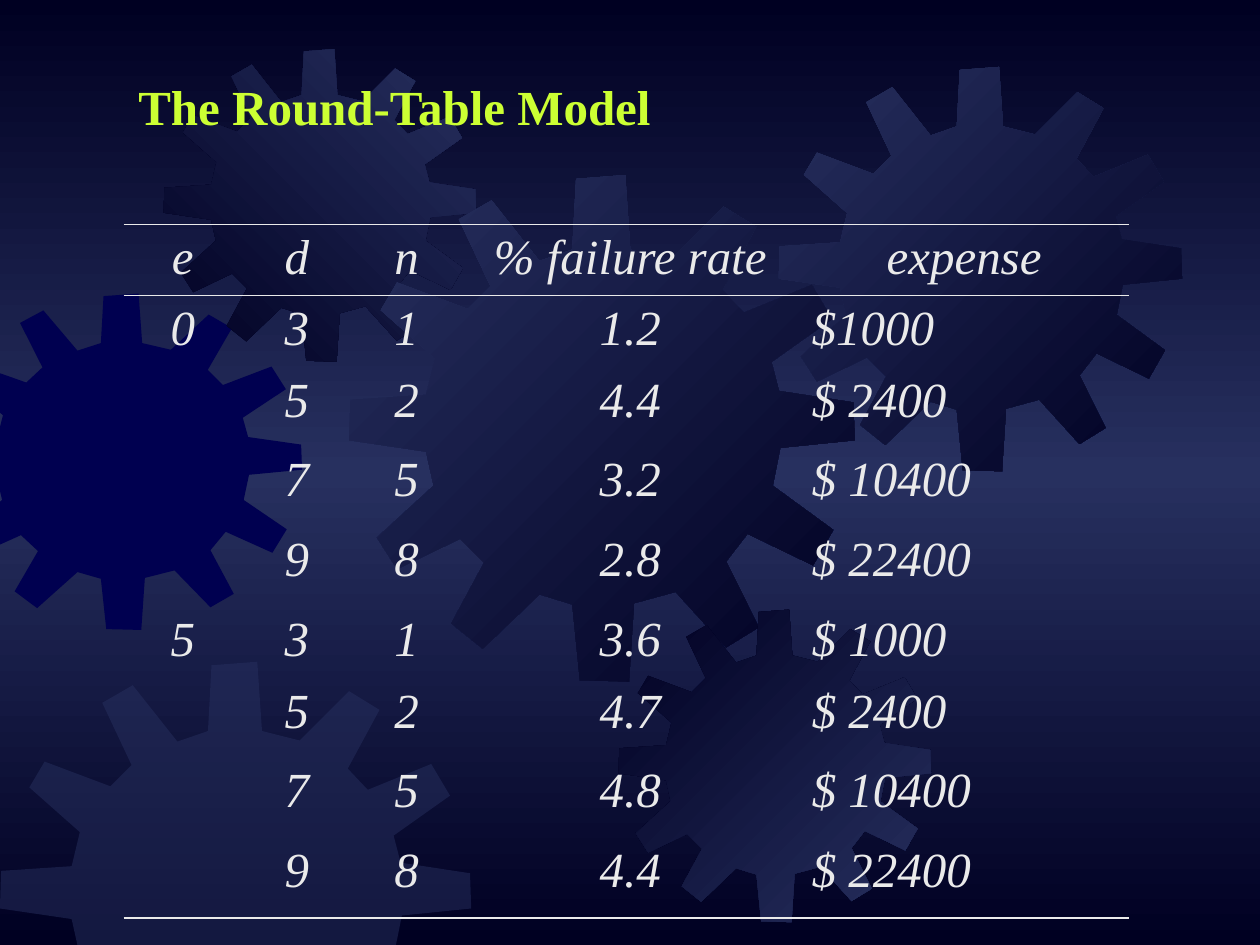
from copy import deepcopy

from lxml import etree
from pptx import Presentation
from pptx.dml.color import RGBColor
from pptx.enum.text import MSO_ANCHOR, MSO_AUTO_SIZE, PP_ALIGN
from pptx.oxml.ns import qn
from pptx.util import Cm, Pt

LEFT, CENTER = PP_ALIGN.LEFT, PP_ALIGN.CENTER
TOP = MSO_ANCHOR.TOP
NO_AUTOFIT = MSO_AUTO_SIZE.NONE
TITLE_ONLY = 5
NO_STYLE_NO_GRID = "{2D5ABB26-0587-4C30-8999-92F81FD0307C}"

FONT, SIZE = "Times New Roman", 28
NIGHT, STEEL, NAVY = "000022", "27305F", "000050"
LIME, PALE = "CCFF33", "EAEAEA"

# Content
TITLE = "The Round-Table Model"
ROWS = [
    ("e", "d", "n", "% failure rate", "expense"),
    ("0", "3", "1", "1.2", "$1000"),
    ("", "5", "2", "4.4", "$ 2400"),
    ("", "7", "5", "3.2", "$ 10400"),
    ("", "9", "8", "2.8", "$ 22400"),
    ("5", "3", "1", "3.6", "$ 1000"),
    ("", "5", "2", "4.7", "$ 2400"),
    ("", "7", "5", "4.8", "$ 10400"),
    ("", "9", "8", "4.4", "$ 22400"),
]
COLUMN_WIDTHS = (2.39, 2.21, 2.21, 6.81, 6.65)
ROW_HEIGHT, GROUP_ROW_HEIGHT = 1.44, 1.61

# One gear outline on a 401-unit square
GEAR_UNITS = 401
GEAR_OUTLINE = [
    (255, 67), (223, 59), (219, 0), (180, 3), (177, 59), (151, 68),
    (113, 20), (87, 35), (112, 88), (94, 106), (38, 85), (25, 107),
    (68, 145), (61, 174), (1, 178), (0, 210), (61, 219), (67, 246),
    (22, 287), (38, 312), (88, 288), (107, 307), (81, 355), (106, 375),
    (151, 332), (177, 340), (183, 400), (222, 401), (226, 339), (259, 330),
    (299, 374), (325, 358), (299, 306), (316, 284), (368, 309), (384, 281),
    (336, 246), (342, 216), (401, 210), (400, 180), (341, 171), (335, 148),
    (383, 114), (367, 87), (313, 109), (296, 91), (323, 41), (297, 25),
]
# Left, top, width, height in cm; colours; gradient angle; opacity in percent
GEARS = [
    (-1.17, 5.92, 7.26, 6.78, (NAVY,), 0, 100),
    (3.3, 0.99, 6.3, 6.3, (NIGHT, STEEL), 45, 100),
    (7.04, 3.53, 10.19, 10.21, (STEEL, NIGHT), 315, 100),
    (0, 13.34, 9.5, 9.5, (STEEL,), 0, 50),
    (12.47, 12.29, 6.3, 6.3, (NIGHT, STEEL), 315, 100),
    (15.7, 1.35, 8.13, 8.15, (STEEL, NIGHT), 315, 100),
]


def rgb(value):
    return RGBColor.from_string(value)


def paint_gradient(fill, colours, angle):
    fill.gradient()
    fill.gradient_angle = angle
    for stop, colour in zip(fill.gradient_stops, colours):
        stop.color.rgb = rgb(colour)


def clip(points, axis, limit, sign):
    """Keep the part of a polygon where sign * (coordinate - limit) >= 0."""
    kept = []
    for start, end in zip(points, points[1:] + points[:1]):
        a, b = (sign * (point[axis] - limit) for point in (start, end))
        if a >= 0:
            kept.append(start)
        if a * b < 0:
            kept.append(tuple(s + (e - s) * a / (a - b) for s, e in zip(start, end)))
    return kept


def add_gear(page, page_height, left, top, width, height, colours, angle, opacity):
    points = [(Cm(left + x * width / GEAR_UNITS), Cm(top + y * height / GEAR_UNITS))
              for x, y in GEAR_OUTLINE]
    points = clip(clip(points, 0, 0, 1), 1, page_height, -1)
    builder = page.shapes.build_freeform(*map(int, points[0]))
    builder.add_line_segments([tuple(map(int, point)) for point in points[1:]])
    gear = builder.convert_to_shape()
    gear.shadow.inherit = False
    gear.line.fill.background()
    if len(colours) > 1:
        paint_gradient(gear.fill, colours, angle)
        return
    gear.fill.solid()
    gear.fill.fore_color.rgb = rgb(colours[0])
    if opacity < 100:
        colour = gear._element.spPr.find(f"{qn('a:solidFill')}/{qn('a:srgbClr')}")
        etree.SubElement(colour, qn("a:alpha"), val=str(opacity * 1000))


def write(frame, text, colour, align, bold=False, italic=False):
    para = frame.paragraphs[0]
    para.alignment = align
    if text:
        span = para.add_run()
        span.text = text
        span.font.name, span.font.size = FONT, Pt(SIZE)
        span.font.bold, span.font.italic = bold, italic
        span.font.color.rgb = rgb(colour)


def set_borders(cell, top, bottom):
    properties = cell._tc.get_or_add_tcPr()
    for tag, points in (("lnL", 0), ("lnR", 0), ("lnT", top), ("lnB", bottom)):
        line = etree.SubElement(properties, qn(f"a:{tag}"), w=str(int(Pt(points))))
        if points:
            solid = etree.SubElement(line, qn("a:solidFill"))
            etree.SubElement(solid, qn("a:srgbClr"), val=PALE)
        else:
            etree.SubElement(line, qn("a:noFill"))


def add_results_table(page):
    heights = [ROW_HEIGHT if row[0] else GROUP_ROW_HEIGHT for row in ROWS]
    frame = page.shapes.add_table(len(ROWS), len(COLUMN_WIDTHS), Cm(2.49), Cm(4.52),
                                  Cm(sum(COLUMN_WIDTHS)), Cm(sum(heights)))
    table = frame.table
    table.horz_banding = False
    table._tbl.tblPr.find(qn("a:tableStyleId")).text = NO_STYLE_NO_GRID
    for column, width in zip(table.columns, COLUMN_WIDTHS):
        column.width = Cm(width)
    last = len(ROWS) - 1
    for r, (row, height) in enumerate(zip(ROWS, heights)):
        table.rows[r].height = Cm(height)
        top = {0: 0.45, 1: 1.08}.get(r, 0)
        bottom = 1.08 if r in (0, last) else 0
        for c, text in enumerate(row):
            cell = table.cell(r, c)
            set_borders(cell, top, bottom)
            cell.fill.background()
            is_expense = r > 0 and c == len(row) - 1
            write(cell.text_frame, text, PALE, LEFT if is_expense else CENTER, italic=True)


def main():
    deck = Presentation()
    deck.slide_width, deck.slide_height = Cm(25.4), Cm(19.05)
    page = deck.slides.add_slide(deck.slide_layouts[TITLE_ONLY])

    # Background: dark edges, lighter middle
    paint_gradient(page.background.fill, (NIGHT, STEEL), 270)
    stops = page._element.find(f".//{qn('a:gsLst')}")
    stops.append(deepcopy(stops[0]))
    for stop, position in zip(stops, (0, 50, 100)):
        stop.set("pos", str(position * 1000))

    # Gears
    for gear in GEARS:
        add_gear(page, deck.slide_height, *gear)

    # Title, brought in front of the gears
    title = page.shapes.title
    page.shapes._spTree.append(title._element)
    title.left, title.top, title.width, title.height = Cm(2.29), Cm(1.42), Cm(13.59), Cm(1.45)
    frame = title.text_frame
    frame.auto_size = NO_AUTOFIT
    frame.word_wrap = True
    frame.vertical_anchor = TOP
    frame.margin_left = Cm(0.5)
    write(frame, TITLE, LIME, LEFT, bold=True)

    # Results
    add_results_table(page)
    deck.save("out.pptx")


if __name__ == "__main__":
    main()
